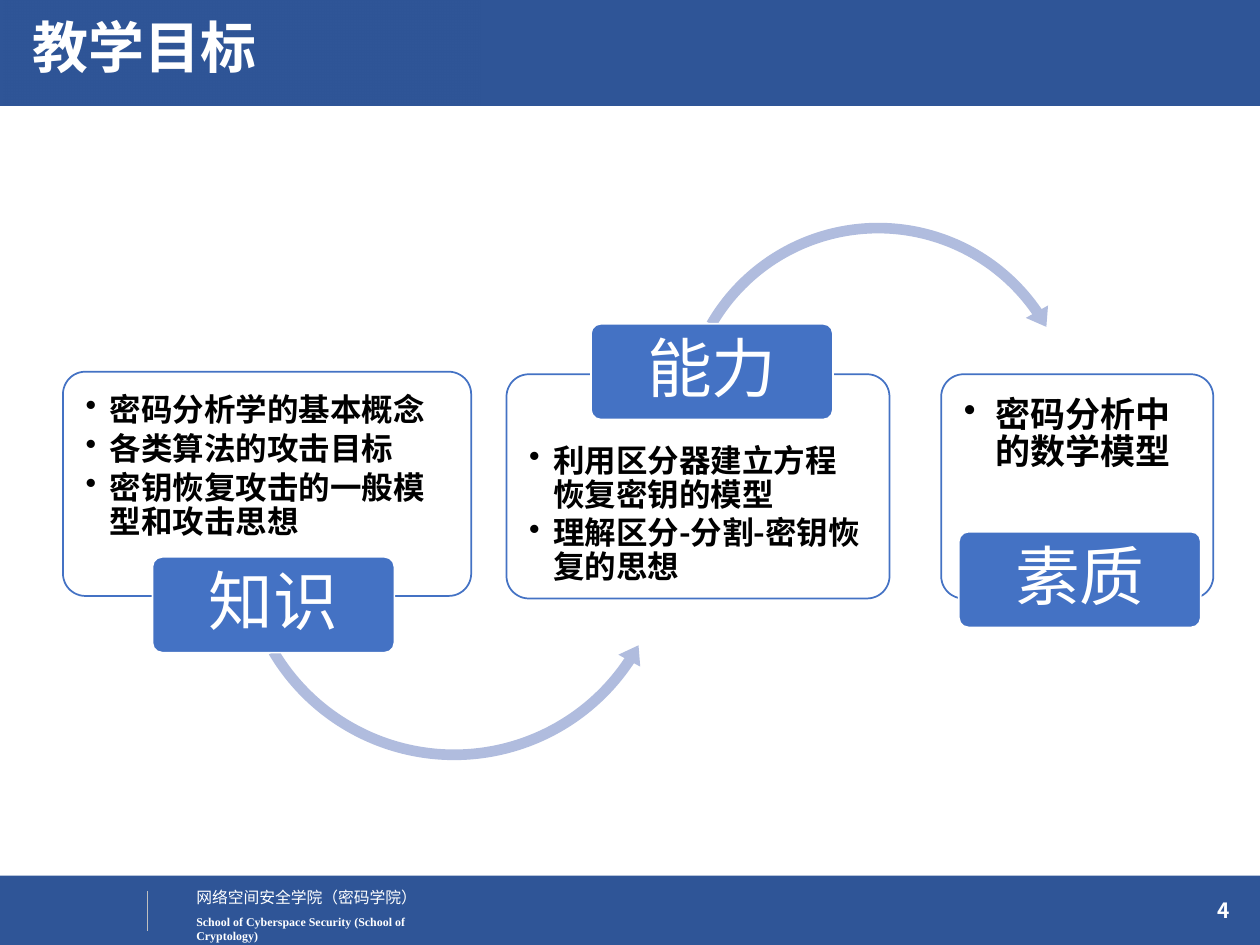
from dataclasses import dataclass

from lxml import etree
from pptx import Presentation
from pptx import util as u
from pptx.dml import color
from pptx.enum import shapes, text
from pptx.oxml import ns


@dataclass(frozen=True)
class Theme:
    """Colours, fonts and type sizes of the slide."""
    navy: str = "2F5597"
    blue: str = "4472C4"
    pale: str = "B0BCDE"
    gray: str = "BFBFBF"
    white: str = "FFFFFF"
    black: str = "000000"
    sans: str = "Noto Sans CJK SC"
    serif: str = "Times New Roman"
    title: float = 32
    label: float = 37
    large: float = 20
    body: float = 18
    page: float = 12
    school: float = 9
    small: float = 6.8


T = Theme()
KIND = shapes.MSO_SHAPE
LEFT, MID, RIGHT = text.PP_ALIGN.LEFT, text.PP_ALIGN.CENTER, text.PP_ALIGN.RIGHT
CENTER = text.MSO_ANCHOR.MIDDLE


def rgb(code):
    """Turn a hex code into a colour."""
    return color.RGBColor.from_string(code)


def apply(item, form):
    """Set each value of a format dict on an item."""
    for name, value in form.items():
        setattr(item, name, value)


def add(node, tag, **attrs):
    """Append a drawing element to a node."""
    child = etree.SubElement(node, ns.qn(tag))
    for name, value in attrs.items():
        child.set(name, str(value))
    return child


def box(at):
    """Give a left, top, width and height as lengths."""
    return [u.Inches(n) for n in at]


def block(slide, kind, at, fill, line=None, adj=(), alpha=None):
    """Draw a filled preset shape."""
    shape = slide.shapes.add_shape(kind, *box(at))
    shape.shadow.inherit = False
    for i, value in enumerate(adj):
        shape.adjustments[i] = value
    shape.fill.solid()
    shape.fill.fore_color.rgb = rgb(fill)
    if alpha:
        tint = shape.element.spPr.find(".//" + ns.qn("a:srgbClr"))
        add(tint, "a:alpha", val=alpha * 1000)
    if line:
        apply(shape.line, {"width": u.Pt(1)})
        shape.line.color.rgb = rgb(line)
    else:
        shape.line.fill.background()
    return shape


def fade(slide, at, tone):
    """Draw a band that fades in from the left."""
    fill = block(slide, KIND.RECTANGLE, at, tone).fill
    fill.gradient()
    fill.gradient_angle = 0
    for stop in fill.gradient_stops:
        stop.color.rgb = rgb(tone)
    first = slide.shapes[-1].element.spPr.find(".//" + ns.qn("a:srgbClr"))
    add(first, "a:alpha", val=0)


def write(slide, at, lines, size, tone=T.white, font=T.sans, bold=False,
          align=LEFT, frame=None, para=None, hang=None):
    """Write paragraphs in a text box, with bullets if a hang is given."""
    body = slide.shapes.add_textbox(*box(at)).text_frame
    apply(body, {"word_wrap": True, **(frame or {})})
    for i, words in enumerate(lines):
        p = body.add_paragraph() if i else body.paragraphs[0]
        apply(p, {"alignment": align, **(para or {})})
        if hang:
            props = p._p.get_or_add_pPr()
            props.set("marL", str(u.Inches(hang)))
            props.set("indent", str(-u.Inches(hang)))
            add(props, "a:buChar", char="•")
        run = p.add_run()
        run.text = words
        apply(run.font, {"size": u.Pt(size), "bold": bold, "name": font})
        run.font.color.rgb = rgb(tone)
        add(run.font._element, "a:ea", typeface=T.sans)


def pad(x, y):
    """Give the side and end margins of a text frame."""
    return {"margin_left": u.Inches(x), "margin_right": u.Inches(x),
            "margin_top": u.Inches(y), "margin_bottom": u.Inches(y)}


def rule(slide, x, top, end):
    """Draw the thin upright line of the footer."""
    line = slide.shapes.add_connector(
        shapes.MSO_CONNECTOR.STRAIGHT, *box((x, top, x, end)))
    line.line.width = u.Pt(0.5)
    line.line.color.rgb = rgb(T.gray)
    add(line.element.spPr, "a:effectLst")


def card(slide, at, top, lines, size, hang):
    """Draw an outlined card with its bullet list."""
    block(slide, KIND.ROUNDED_RECTANGLE, at, T.white, T.blue, [0.1], 90)
    write(slide, (at[0] + 0.04, top, at[2] - 0.08, 1.32), lines, size,
          T.black, bold=True, frame=pad(0.14, 0.14), hang=hang,
          para={"line_spacing": 0.9, "space_after": u.Pt(size * 0.15)})


def label(slide, x, y, words):
    """Draw the blue name plate of a card."""
    block(slide, KIND.ROUNDED_RECTANGLE, (x, y, 1.92, 0.76), T.blue,
          T.white, [0.1])
    write(slide, (x + 0.02, y + 0.02, 1.88, 0.72), [words], T.label,
          font=T.serif, align=MID,
          frame={**pad(0.08, 0.05), "vertical_anchor": CENTER},
          para={"line_spacing": 0.9, "space_after": u.Pt(T.label * 0.35)})


def chrome(slide):
    """Draw the header and footer."""
    block(slide, KIND.RECTANGLE, (0, 6.95, 10, 0.55), T.navy)
    block(slide, KIND.RECTANGLE, (0, 0, 10, 0.84), T.navy)
    free = {"word_wrap": False,
            "auto_size": text.MSO_AUTO_SIZE.SHAPE_TO_FIT_TEXT}
    write(slide, (1.46, 7, 1.97, 0.25), ["网络空间安全学院（密码学院）"],
          T.school, frame=free)
    write(slide, (1.46, 7.21, 2.37, 0.21),
          ["School of Cyberspace Security (School of Cryptology)"],
          T.small, font=T.serif, bold=True, frame=free)
    rule(slide, 1.17, 7.07, 7.39)
    fade(slide, (0, -0.01, 3.81, 0.84), T.navy)
    write(slide, (7.61, 7.02, 2.25, 0.4), ["4"], T.page, bold=True,
          align=RIGHT, frame={"vertical_anchor": CENTER})
    write(slide, (0.16, 0.11, 6.32, 0.61), ["教学目标"], T.title, bold=True,
          para={"line_spacing": 0.9, "space_before": u.Pt(7.5)})


def main():
    """Build the slide and save it."""
    deck = Presentation()
    apply(deck, {"slide_width": u.Inches(10), "slide_height": u.Inches(7.5)})
    slide = deck.slides.add_slide(deck.slide_layouts[6])
    chrome(slide)
    card(slide, (0.5, 2.95, 3.24, 1.78), 2.99,
         ["密码分析学的基本概念", "各类算法的攻击目标",
          "密钥恢复攻击的一般模型和攻击思想"], T.body, 0.19)
    block(slide, KIND.LEFT_CIRCULAR_ARROW, (1.84, 2.56, 3.53, 3.53), T.pale,
          adj=[0.024, 2.934, 20.085, 89.64, 0.028])
    label(slide, 1.21, 4.42, "知识")
    card(slide, (4.02, 2.97, 3.04, 1.78), 3.39,
         ["利用区分器建立方程恢复密钥的模型",
          "理解区分-分割-密钥恢复的思想"], T.body, 0.19)
    block(slide, KIND.CIRCULAR_ARROW, (5.34, 1.71, 3.26, 3.26), T.pale,
          adj=[0.026, 3.192, 195.308, 126.011, 0.031])
    label(slide, 4.69, 2.57, "能力")
    card(slide, (7.47, 2.97, 2.16, 1.78), 3.01,
         ["密码分析中的数学模型"], T.large, 0.25)
    label(slide, 7.61, 4.22, "素质")
    deck.save("out.pptx")


if __name__ == "__main__":
    main()
